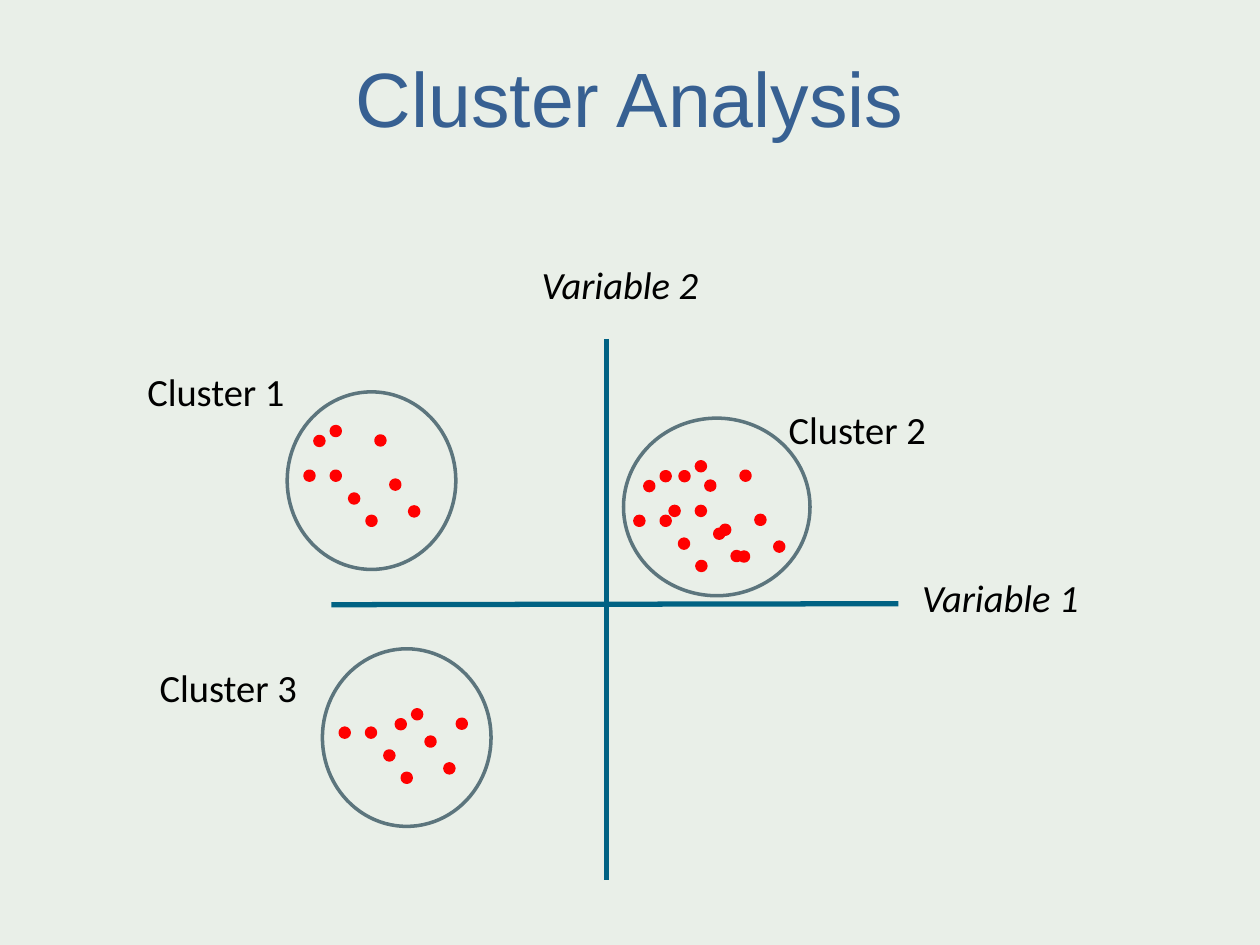
"""Build the Cluster Analysis slide: two axes, three circled clusters and their labels."""
import pptx
import pptx.dml.color
import pptx.enum.shapes
import pptx.enum.text
import pptx.util
from lxml import etree
from pptx.util import Cm, Pt

INK = pptx.dml.color.RGBColor(0x00, 0x00, 0x00)
TITLE_BLUE = pptx.dml.color.RGBColor(0x37, 0x60, 0x92)
AXIS_BLUE = pptx.dml.color.RGBColor(0x00, 0x62, 0x83)
RING_GREY = pptx.dml.color.RGBColor(0x5C, 0x75, 0x7D)
DOT_RED = pptx.dml.color.RGBColor(0xFF, 0x00, 0x00)
PAPER = pptx.dml.color.RGBColor(0xE9, 0xEF, 0xE8)

TITLE = "Cluster Analysis"
AXES = [(12.22, 6.83, 12.22, 17.73), (18.11, 12.17, 6.68, 12.19)]
RINGS = [(5.79, 7.9, 3.4), (6.5, 13.08, 3.4), (12.57, 8.43, 3.76)]
RING_HEIGHT = 3.58
LABELS = [
    ("Variable 1", 18.49, 11.48, 3.68, True),
    ("Variable 2", 10.82, 5.16, 3.68, True),
    ("Cluster 1", 2.87, 7.32, 3.33, False),
    ("Cluster 2", 15.8, 8.08, 3.33, False),
    ("Cluster 3", 3.12, 13.28, 3.33, False),
]
LABEL_HEIGHT = 1.14

DOT_SIZE = 0.18
LOWER_DOTS = [(0, 0), (0.53, 0), (0.9, 0.46), (1.73, 0.18), (2.11, 0.72), (1.25, 0.91)]
UPPER_DOTS = [(0.2, -0.7), (0.53, -0.9), (1.43, -0.71)]
DOT_GROUPS = [
    ((6.15, 9.5), (0, 0)),
    ((6.86, 14.68), (0.93, 0.53)),
    ((12.8, 10.41), (0, 0)),
    ((13.51, 10.21), (0, 0)),
]


def add_axis(page, ends):
    axis = page.shapes.add_connector(
        pptx.enum.shapes.MSO_CONNECTOR.STRAIGHT, *map(Cm, ends))
    axis.line.color.rgb = AXIS_BLUE
    axis.line.width = Pt(3)
    etree.SubElement(axis._element.spPr, pptx.oxml.ns.qn("a:effectLst"))


def add_ellipse(page, left, top, width, height, line_color, fill_color=None):
    ellipse = page.shapes.add_shape(
        pptx.enum.shapes.MSO_SHAPE.OVAL, Cm(left), Cm(top), Cm(width), Cm(height))
    ellipse.shadow.inherit = False
    ellipse.line.color.rgb = line_color
    ellipse.line.width = Pt(2)
    if fill_color is None:
        ellipse.fill.background()
    else:
        ellipse.fill.solid()
        ellipse.fill.fore_color.rgb = fill_color


def add_text(page, text, place, margins, font_name, size, color):
    box = page.shapes.add_textbox(*map(Cm, place))
    frame = box.text_frame
    (frame.margin_left, frame.margin_top,
     frame.margin_right, frame.margin_bottom) = map(Cm, margins)
    frame.word_wrap = True
    para = frame.paragraphs[0]
    para.text = text
    para.font.name = font_name
    para.font.size = Pt(size)
    para.font.color.rgb = color
    return frame


def main():
    deck = pptx.Presentation()
    deck.slide_width, deck.slide_height = Cm(25.4), Cm(19.05)
    page = deck.slides.add_slide(deck.slide_layouts[6])
    page.background.fill.solid()
    page.background.fill.fore_color.rgb = PAPER

    for ends in AXES:
        add_axis(page, ends)

    for (left, top), (shift_x, shift_y) in DOT_GROUPS:
        upper = [(x + shift_x, y + shift_y) for x, y in UPPER_DOTS]
        for x, y in LOWER_DOTS + upper:
            add_ellipse(page, left + x, top + y, DOT_SIZE, DOT_SIZE, DOT_RED, DOT_RED)

    for left, top, width in RINGS:
        add_ellipse(page, left, top, width, RING_HEIGHT, RING_GREY)

    for text, left, top, width, italic in LABELS:
        frame = add_text(page, text, (left, top, width, LABEL_HEIGHT),
                         (0.1, 0.1, 0.1, 0.1), "Calibri", 22, INK)
        frame.word_wrap = False
        frame.auto_size = pptx.enum.text.MSO_AUTO_SIZE.SHAPE_TO_FIT_TEXT
        frame.paragraphs[0].font.italic = italic

    title = add_text(page, TITLE, (1.27, 0.76, 22.86, 3.18),
                     (0.23, 0.25, 0.23, 0.1), "Arial", 44, TITLE_BLUE)
    title.paragraphs[0].alignment = pptx.enum.text.PP_ALIGN.CENTER

    deck.save("out.pptx")


if __name__ == "__main__":
    main()
